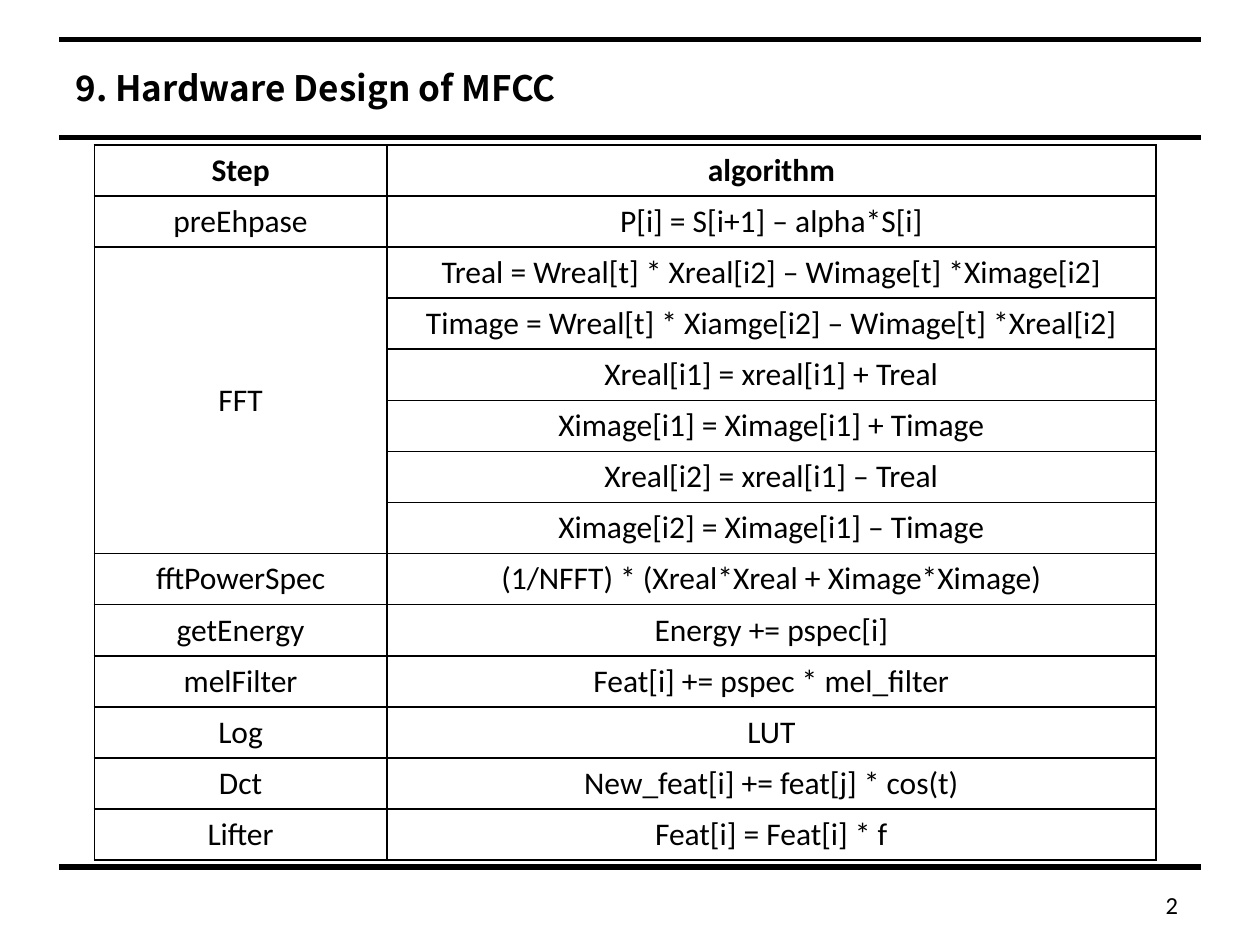
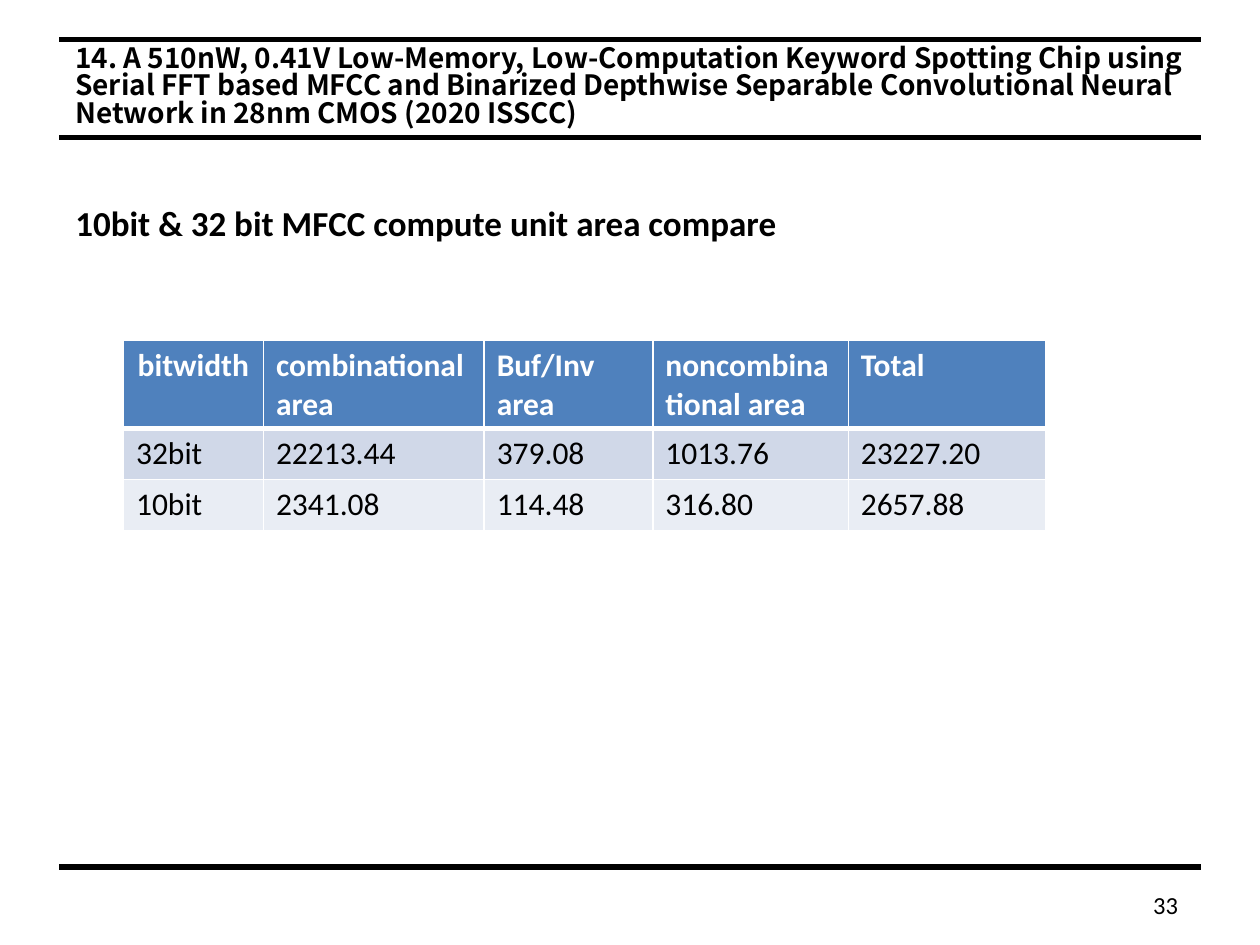
from dataclasses import dataclass

from lxml import etree
from pptx import Presentation
from pptx.dml.color import RGBColor
from pptx.enum.shapes import MSO_CONNECTOR
from pptx.enum.text import MSO_ANCHOR, PP_ALIGN
from pptx.oxml.ns import qn
from pptx.util import Cm, Pt

STRAIGHT = MSO_CONNECTOR.STRAIGHT
TOP, MIDDLE = MSO_ANCHOR.TOP, MSO_ANCHOR.MIDDLE
LEFT, CENTER, RIGHT = PP_ALIGN.LEFT, PP_ALIGN.CENTER, PP_ALIGN.RIGHT


@dataclass(frozen=True)
class Theme:
    black: str = "000000"
    white: str = "FFFFFF"
    header: str = "4F81BD"
    bands: tuple = ("D0D8E8", "E9EDF4")
    title_font: str = "Noto Sans CJK SC"
    body_font: str = "Calibri"
    title: int = 20
    long_title: int = 16
    subtitle: int = 20
    cell: int = 18
    page: int = 14
    rule: int = 3
    border: int = 1


RULE_LEFT, RULE_RIGHT = 1.19, 24.21
RULE_TOPS = (2.77, 0.79, 17.48)
ROW_HEIGHT = 1.03

ALGORITHMS = [
    ("Step", "algorithm"),
    ("preEhpase", "P[i] = S[i+1] – alpha*S[i]"),
    ("FFT", "Treal = Wreal[t] * Xreal[i2] – Wimage[t] *Ximage[i2]"),
    ("", "Timage = Wreal[t] * Xiamge[i2] – Wimage[t] *Xreal[i2]"),
    ("", "Xreal[i1] = xreal[i1] + Treal"),
    ("", "Ximage[i1] = Ximage[i1] + Timage"),
    ("", "Xreal[i2] = xreal[i1] – Treal"),
    ("", "Ximage[i2] = Ximage[i1] – Timage"),
    ("fftPowerSpec", "(1/NFFT) * (Xreal*Xreal + Ximage*Ximage)"),
    ("getEnergy", "Energy += pspec[i]"),
    ("melFilter", "Feat[i] += pspec * mel_filter"),
    ("Log", "LUT"),
    ("Dct", "New_feat[i] += feat[j] * cos(t)"),
    ("Lifter", "Feat[i] = Feat[i] * f"),
]
FFT_FIRST, FFT_LAST = 2, 7

AREAS = [
    ("bitwidth", "combinational area", "Buf/Inv area",
     "noncombinational area", "Total"),
    ("32bit", "22213.44", "379.08", "1013.76", "23227.20"),
    ("10bit", "2341.08", "114.48", "316.80", "2657.88"),
]


class Deck:
    def __init__(self, theme):
        self.theme = theme
        self.prs = Presentation()
        self.prs.slide_width, self.prs.slide_height = Cm(25.4), Cm(19.05)
        self.slide = None

    def new_slide(self, title, page, size=None, spacing=None):
        """Start a slide with the shared rules, page number and title."""
        t = self.theme
        self.slide = self.prs.slides.add_slide(self.prs.slide_layouts[6])
        for y in RULE_TOPS:
            self.rule(y)
        self.text(str(page), (1.19, 17.81, 22.81, 0.86), t.page, align=RIGHT)
        p = self.text(title, (1.27, 0.76, 22.86, 2.01), size or t.title,
                      bold=True, font=t.title_font, anchor=MIDDLE)
        p.line_spacing = spacing

    def rule(self, y):
        sp = self.slide.shapes.add_connector(
            STRAIGHT, Cm(RULE_LEFT), Cm(y), Cm(RULE_RIGHT), Cm(y))
        sp.line.color.rgb = RGBColor.from_string(self.theme.black)
        sp.line.width = Pt(self.theme.rule)
        etree.SubElement(sp._element.spPr, qn("a:effectLst"))

    def style(self, p, size, color, bold, font, align):
        p.alignment = align
        p.font.size = Pt(size)
        p.font.bold = bold
        p.font.name = font
        p.font.color.rgb = RGBColor.from_string(color)

    def text(self, text, box, size, bold=False, font=None, align=LEFT,
             anchor=TOP):
        sp = self.slide.shapes.add_textbox(*map(Cm, box))
        tf = sp.text_frame
        tf.word_wrap = True
        tf.vertical_anchor = anchor
        p = tf.paragraphs[0]
        p.text = text
        self.style(p, size, self.theme.black, bold,
                   font or self.theme.body_font, align)
        return p

    def table(self, rows, left, top, widths, heights):
        """Add a table without any banded style and return it."""
        frame = self.slide.shapes.add_table(
            len(rows), len(widths), Cm(left), Cm(top),
            Cm(sum(widths)), Cm(sum(heights)))
        table = frame.table
        table.first_row = table.horz_banding = False
        for column, width in zip(table.columns, widths):
            column.width = Cm(width)
        for row, height in zip(table.rows, heights):
            row.height = Cm(height)
        return table

    def cell(self, cell, text, color, bold=False, align=LEFT, anchor=TOP,
             fill=None):
        cell.vertical_anchor = anchor
        p = cell.text_frame.paragraphs[0]
        p.text = text
        self.style(p, self.theme.cell, color, bold, self.theme.body_font,
                   align)
        if fill:
            cell.fill.solid()
            cell.fill.fore_color.rgb = RGBColor.from_string(fill)
        else:
            cell.fill.background()

    def borders(self, cell, color, **widths):
        """Draw all four borders; L, R, T or B sets another width."""
        tc_pr = cell._tc.get_or_add_tcPr()
        for i, side in enumerate("LRTB"):
            width = Pt(widths.get(side, self.theme.border))
            ln = etree.Element(qn(f"a:ln{side}"), w=str(width))
            fill = etree.SubElement(ln, qn("a:solidFill"))
            etree.SubElement(fill, qn("a:srgbClr"), val=color)
            tc_pr.insert(i, ln)


def algorithm_slide(deck):
    t = deck.theme
    deck.new_slide("9. Hardware Design of MFCC", 2)
    table = deck.table(ALGORITHMS, 1.9, 2.92, (5.9, 15.5),
                       [ROW_HEIGHT] * len(ALGORITHMS))
    for i, row in enumerate(ALGORITHMS):
        for j, text in enumerate(row):
            cell = table.cell(i, j)
            deck.cell(cell, text, t.black, i == 0, CENTER, MIDDLE)
            deck.borders(cell, t.black)
    table.cell(FFT_FIRST, 0).merge(table.cell(FFT_LAST, 0))


def area_slide(deck):
    t = deck.theme
    deck.new_slide(
        "14. A 510nW, 0.41V Low-Memory, Low-Computation Keyword Spotting "
        "Chip using Serial FFT based MFCC and Binarized Depthwise Separable "
        "Convolutional Neural Network in 28nm CMOS (2020 ISSCC)",
        33, t.long_title, spacing=0.83)
    deck.text("10bit & 32 bit MFCC compute unit area compare",
              (1.27, 3.94, 21.59, 1.12), t.subtitle, bold=True)
    table = deck.table(AREAS, 2.49, 6.86, (2.82, 4.45, 3.4, 3.94, 3.99),
                       (1.75, ROW_HEIGHT, ROW_HEIGHT))
    for i, (row, fill) in enumerate(zip(AREAS, (t.header, *t.bands))):
        header = i == 0
        for j, text in enumerate(row):
            cell = table.cell(i, j)
            deck.cell(cell, text, t.white if header else t.black, header,
                      CENTER if header and j == 0 else LEFT, fill=fill)
            deck.borders(cell, t.white,
                         B=t.rule if header else t.border,
                         T=t.rule if i == 1 else t.border)


def main():
    deck = Deck(Theme())
    algorithm_slide(deck)
    area_slide(deck)
    deck.prs.save("out.pptx")


if __name__ == "__main__":
    main()
